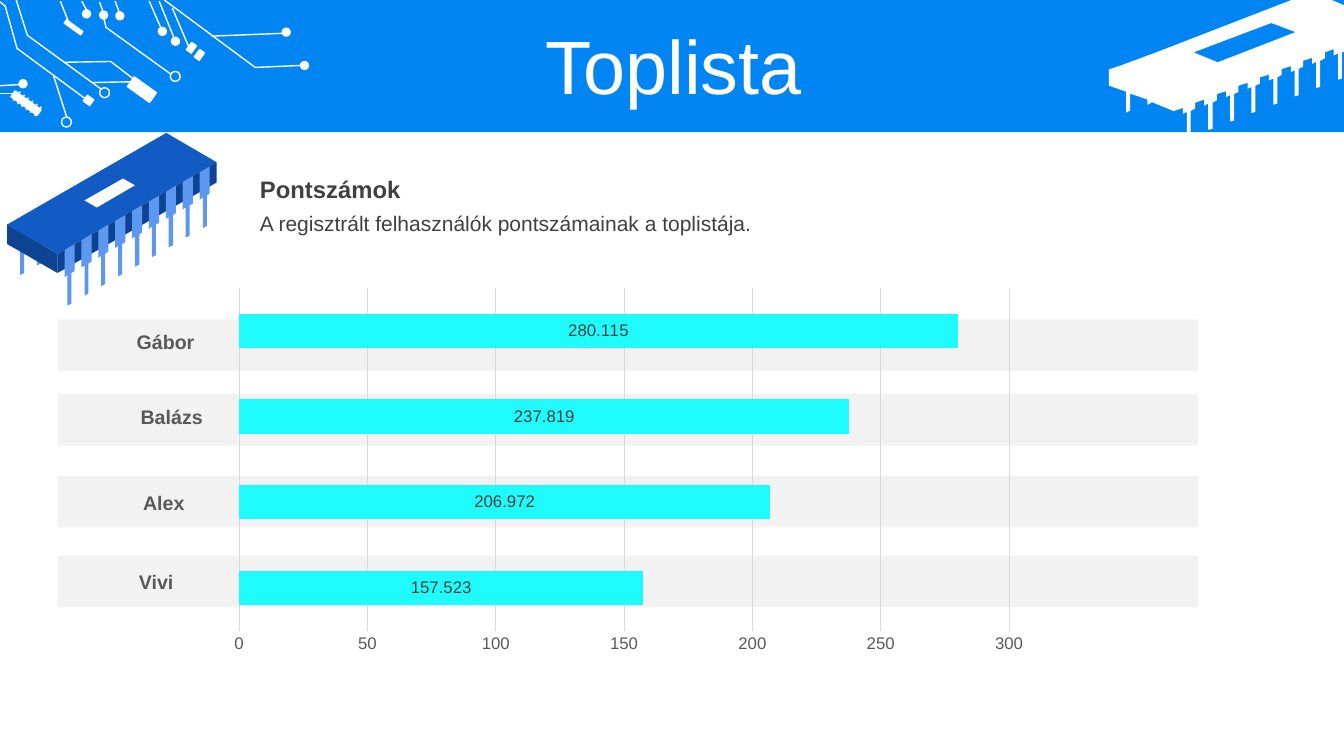
"""Build the Toplista slide with its circuit banner and score chart."""
from lxml import etree
from pptx import Presentation
from pptx.chart.data import CategoryChartData
from pptx.dml.color import RGBColor
from pptx.enum.chart import XL_CHART_TYPE, XL_LABEL_POSITION, XL_TICK_MARK
from pptx.enum.shapes import MSO_CONNECTOR, MSO_SHAPE
from pptx.enum.text import MSO_ANCHOR, MSO_AUTO_SIZE, PP_ALIGN
from pptx.oxml import parse_xml
from pptx.oxml.ns import nsdecls, qn
from pptx.util import Cm, Pt

HUE = {"blue": "0085F2", "white": "FFFFFF", "band": "F2F2F2", "name": "595959",
       "dark": "404040", "bar": "1FFBFD", "grid": "D9D9D9", "pin": "5C98F0",
       "top": "125AC4", "side": "0D4393"}
FONT = "Arial"
TURN = 35.7

TITLE = ("Toplista", (0.35, 0.3, 12.66, 0.79))
HEADS = [("A regisztrált felhasználók pontszámainak a toplistája.", (2.48, 2.04, 5.56, 0.35), 15, False),
         ("Pontszámok", (2.48, 1.69, 5.54, 0.39), 17, True)]
NAMES = [("Vivi", -0.35, 5.6), ("Alex", -0.24, 4.82), ("Balázs", -0.06, 3.97), ("Gábor", -0.14, 3.22)]
BANDS = [3.17, 3.91, 4.72, 5.51]
SCORES = [157.523, 206.972, 237.819, 280.115]
PLOT = {"x": 0.034, "y": 0.103, "w": 0.885, "h": 0.78}

DOTS = [(2.98, 0.61), (2.8, 0.28), (0.82, 0.1), (0.99, 0.11), (1.15, 0.12),
        (0.19, 0.79), (1.7, 0.37), (1.57, 0.27)]
RINGS = [(1.69, 0.71), (0.99, 0.87), (0.61, 1.16)]
PARTS = [(1.27, 0.83, 0.27, 0.12), (0.63, 0.25, 0.2, 0.04), (0.84, 0.96, 0.08, 0.07),
         (1.87, 0.43, 0.06, 0.09), (1.95, 0.5, 0.06, 0.09), (0.1, 0.99, 0.32, 0.07)]
WIRES = [(0.6, 0.01, 0.68, 0.22), (0.81, 0.01, 0.86, 0.1), (0.99, 0.02, 1.02, 0.11),
         (1.14, 0.01, 1.18, 0.12), (1.48, 0.01, 1.61, 0.31), (1.58, 0.01, 1.73, 0.38),
         (2.1, 0.36, 2.8, 0.33), (1.71, 0.08, 1.87, 0.46), (0, 0.85, 0.19, 0.84),
         (0, 0.93, 0.14, 0.93), (0.53, 0.75, 0.66, 1.16), (0.92, 0.82, 1.3, 0.81)]
TEETH = [(0.13 + 0.034 * n * 1.24, 1 + 0.03 * n) for n in range(6)]
WIRES += [(x, y, x + 0.07, y - 0.09) for x, y in TEETH]
TRACKS = [[(1.63, 0), (2.53, 0.67), (2.99, 0.65)],
          [(0.16, 0), (0.27, 0.35), (1, 0.88)],
          [(0, 0.02), (0.05, 0.06), (0.17, 0.48), (0.86, 0.99)],
          [(0.64, 0.62), (1.1, 0.61), (1.32, 0.78)],
          [(1.03, 0.18), (1.05, 0.27), (1.7, 0.74)]]

SLOT = [(12.61, 0.23), (11.84, 0.52), (12.08, 0.62), (12.85, 0.32)]
LEG = [(0, 0), (0, 0.26), (-0.04, 0.27), (-0.04, 0.01), (-0.08, 0.03), (-0.08, -0.03), (-0.17, 0)]
LEGS = [(13.31 - 0.214 * n + x, 0.52 + 0.083 * n + y) for n in range(8) for x, y in LEG + [(-0.17, 0.06)]]
CHIP = [(12.81, 0), (13.21, 0), (13.33, 0.05), (13.33, 0.51)] + LEGS[:-1] + [
    (11.42, 1.01), (11.42, 1.02), (11.38, 1.04), (11.38, 0.99), (11.21, 0.93), (11.21, 1.1),
    (11.17, 1.12), (11.17, 0.91), (11, 0.85), (11, 0.69), (11.12, 0.65), (11.47, 0.52)]

PIN = [(0, 0.06), (0, 0.33), (0.03, 0.31), (0.03, 0.61), (0.07, 0.59), (0.07, 0.29), (0.1, 0.27), (0.1, 0)]
BACK = (0.17, 2.12, 2)
FRONT = (0.64, 2.42, 9)
BODY = [("top", [(1.65, 1.32), (0.07, 2.23), (0.57, 2.52), (2.15, 1.61)]),
        ("side", [(0.07, 2.23), (0.07, 2.42), (0.57, 2.71), (0.57, 2.52)]),
        ("side", [(2.15, 1.61), (2.15, 1.81), (0.57, 2.71), (0.57, 2.52)])]
GAP = [(1.22, 1.77), (0.84, 1.99), (0.96, 2.06), (1.34, 1.84)]


def size(num):
    return Cm(round(num * 2.54, 2))


def rgb(key):
    return RGBColor.from_string(HUE[key])


def style(item, **vals):
    for key, val in vals.items():
        setattr(item, key, val)


def type_face(font, pts, key, bold=False):
    style(font, name=FONT, size=Pt(pts), bold=bold)
    font.color.rgb = rgb(key)


def paint(item, fill=None, line=None):
    item.shadow.inherit = False
    for part, key in ((item.fill, fill), (item.line.fill, line)):
        if key:
            part.solid()
            part.fore_color.rgb = rgb(key)
        else:
            part.background()
    if line:
        item.line.width = Pt(1)


def block(slide, kind, box, fill=None, line=None, turn=0):
    item = slide.shapes.add_shape(kind, *map(size, box))
    item.rotation = turn
    paint(item, fill, line)


def outline(slide, paths, fill=None, line=None):
    rows = [[(size(x), size(y)) for x, y in path] for path in paths]
    pen = slide.shapes.build_freeform(*rows[0][0])
    for num, row in enumerate(rows):
        if num:
            pen.move_to(*row[0])
        pen.add_line_segments(row[1:], close=bool(fill))
    paint(pen.convert_to_shape(), fill, line)


def wire(slide, ends):
    item = slide.shapes.add_connector(MSO_CONNECTOR.STRAIGHT, *map(size, ends))
    item.line.color.rgb = rgb("white")
    item.line.width = Pt(1)
    etree.SubElement(item._element.spPr, qn("a:effectLst"))


def pins(slide, left, top, count):
    for n in range(count):
        outline(slide, [[(left + 0.1675 * n + x, top - 0.096 * n + y) for x, y in PIN]], "pin")


def write(slide, text, box, pts, key, bold=False, frame=None, para=None):
    item = slide.shapes.add_textbox(*map(size, box)).text_frame
    style(item, word_wrap=True, **(frame or {}))
    line = item.paragraphs[0]
    style(line, **(para or {}))
    run = line.add_run()
    run.text = text
    type_face(run.font, pts, key, bold)


def banner(slide):
    block(slide, MSO_SHAPE.RECTANGLE, (0, 0, 13.33, 1.31), "blue")
    outline(slide, [SLOT, CHIP], "white")
    for box in PARTS:
        block(slide, MSO_SHAPE.RECTANGLE, box, "white", "white", TURN)
    for spots, side, fill in ((DOTS, 0.08, "white"), (RINGS, 0.1, None)):
        for spot in spots:
            block(slide, MSO_SHAPE.OVAL, spot + (side, side), fill, "white", TURN)
    for ends in WIRES:
        wire(slide, ends)
    for track in TRACKS:
        outline(slide, [track], line="white")


def graph(slide):
    data = CategoryChartData()
    data.categories = ["1", "2", "3", "4"]
    data.add_series("Series 1", SCORES)
    box = map(size, (2.08, 2.41, 8.63, 4.36))
    chart = slide.shapes.add_chart(XL_CHART_TYPE.BAR_STACKED, *box, data).chart
    style(chart, has_legend=False, has_title=False)
    style(chart.font, name=FONT, size=Pt(10))
    chart.category_axis.visible = False
    axis = chart.value_axis
    style(axis, minimum_scale=0, maximum_scale=300, major_unit=50, has_major_gridlines=True,
          major_tick_mark=XL_TICK_MARK.NONE, minor_tick_mark=XL_TICK_MARK.NONE)
    axis.format.line.fill.background()
    type_face(axis.tick_labels.font, 12, "name")
    grid = axis.major_gridlines.format.line
    grid.color.rgb = rgb("grid")
    grid.width = Pt(0.75)
    plot = chart.plots[0]
    style(plot, gap_width=150, overlap=100, vary_by_categories=False)
    bar = plot.series[0]
    bar.format.fill.solid()
    bar.format.fill.fore_color.rgb = rgb("bar")
    style(bar.data_labels, show_value=True, position=XL_LABEL_POSITION.CENTER)
    type_face(bar.data_labels.font, 12, "dark")
    root = chart._chartSpace
    area = root.find(".//" + qn("c:plotArea"))
    for old in area.findall(qn("c:layout")):
        area.remove(old)
    modes = "".join(f'<c:{key}Mode val="edge"/>' for key in "xy")
    spots = "".join(f'<c:{key} val="{val}"/>' for key, val in PLOT.items())
    area.insert(0, parse_xml(f'<c:layout {nsdecls("c")}><c:manualLayout><c:layoutTarget val="inner"/>'
                             f'{modes}{spots}</c:manualLayout></c:layout>'))
    clear = f'<c:spPr {nsdecls("c", "a")}><a:noFill/><a:ln><a:noFill/></a:ln></c:spPr>'
    area.append(parse_xml(clear))
    root.find(qn("c:chart")).addnext(parse_xml(clear))


def main():
    deck = Presentation()
    style(deck, slide_width=size(13.33), slide_height=size(7.5))
    slide = deck.slides.add_slide(deck.slide_layouts[6])
    banner(slide)
    middle = {"vertical_anchor": MSO_ANCHOR.MIDDLE}
    grow = {"auto_size": MSO_AUTO_SIZE.SHAPE_TO_FIT_TEXT}
    write(slide, *TITLE, 54, "white", frame=middle,
          para={"alignment": PP_ALIGN.CENTER, "line_spacing": 0.9})
    for top in BANDS:
        block(slide, MSO_SHAPE.RECTANGLE, (0.57, top, 11.31, 0.51), "band")
    for name, left, top in NAMES:
        write(slide, name, (left, top, 2.17, 0.34), 14, "name", True,
              {**middle, **grow}, {"alignment": PP_ALIGN.RIGHT})
    for text, box, pts, bold in HEADS:
        write(slide, text, box, pts, "dark", bold, grow)
    pins(slide, *BACK)
    for key, path in BODY:
        outline(slide, [path], key)
    pins(slide, *FRONT)
    outline(slide, [GAP], "white")
    graph(slide)
    deck.save("out.pptx")


if __name__ == "__main__":
    main()
